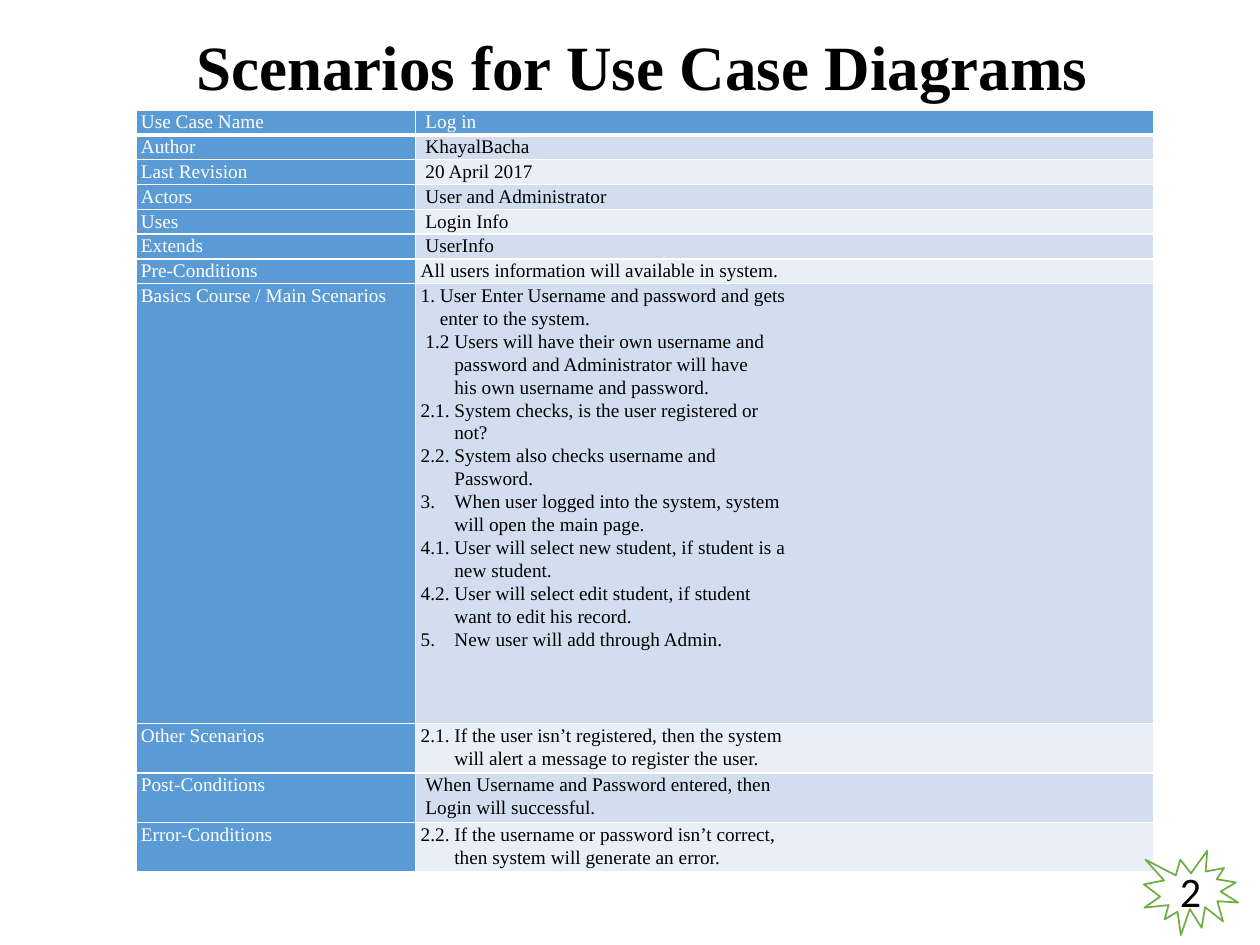
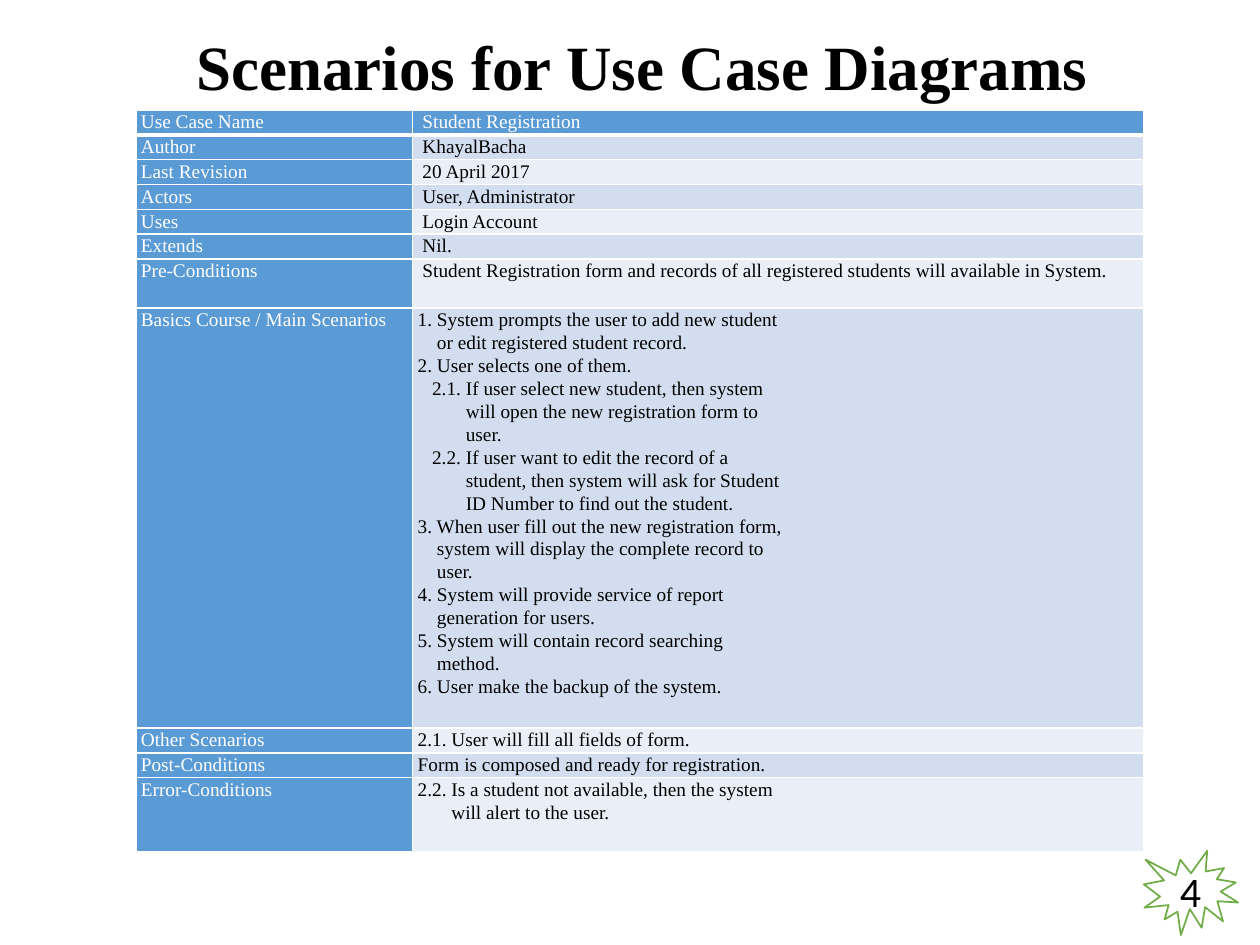
from lxml import etree
from pptx import Presentation
from pptx import util as u
from pptx.dml.color import RGBColor
from pptx.enum import shapes, text
from pptx.oxml.ns import qn

WHITE, BLACK = "FFFFFF", "000000"
BLUE, BAND_DARK, BAND_LIGHT, GREEN = "5B9BD5", "D2DEEF", "EAEFF7", "70AD47"
SERIF, SANS = "Times New Roman", "Calibri"
STEP = 0.097  # width in cm of one indent unit at 11 pt
ROW = 0.5     # height in cm of a one-line row

LABELS = ["Use Case Name", "Author", "Last Revision", "Actors", "Uses", "Extends",
          "Pre-Conditions", "Basics Course / Main Scenarios", "Other Scenarios",
          "Post-Conditions", "Error-Conditions"]

# Each answer is a list of lines: (indent units, text).
# A tab after a step number leads to the indent.
SCENARIOS = [
    {
        "number": "2",
        "columns": (5.64, 14.88),
        "heights": {7: 8.87, 8: 0.99, 9: 0.99, 10: 0.99},
        "answers": [
            [(1, "Log in")],
            [(1, "KhayalBacha")],
            [(1, "20 April 2017")],
            [(1, "User and Administrator")],
            [(1, "Login Info")],
            [(1, "UserInfo")],
            [(0, "All users information will available in system.")],
            [(0, "1. User Enter Username and password and gets"),
             (4, "enter to the system."),
             (1, "1.2 Users will have their own username and"),
             (7, "password and Administrator will have"),
             (7, "his own username and password."),
             (0, "2.1. System checks, is the user registered or"),
             (7, "not?"),
             (0, "2.2. System also checks username and"),
             (7, "Password."),
             (7, "3.\tWhen user logged into the system, system"),
             (7, "will open the main page."),
             (0, "4.1. User will select new student, if student is a"),
             (7, "new student."),
             (0, "4.2. User will select edit student, if student"),
             (7, "want to edit his record."),
             (7, "5.\tNew user will add through Admin.")],
            [(0, "2.1. If the user isn’t registered, then the system"),
             (7, "will alert a message to register the user.")],
            [(1, "When Username and Password entered, then"),
             (1, "Login will successful.")],
            [(0, "2.2. If the username or password isn’t correct,"),
             (7, "then system will generate an error.")],
        ],
    },
    {
        "number": "4",
        "columns": (5.58, 14.74),
        "heights": {6: 0.99, 7: 8.46, 10: 1.49},
        "answers": [
            [(1, "Student Registration")],
            [(1, "KhayalBacha")],
            [(1, "20 April 2017")],
            [(1, "User, Administrator")],
            [(1, "Login Account")],
            [(1, "Nil.")],
            [(1, "Student Registration form and records of all registered "
                 "students will available in System.")],
            [(0, "1. System prompts the user to add new student"),
             (4, "or edit registered student record."),
             (0, "2. User selects one of them."),
             (3, "2.1. If user select new student, then system"),
             (10, "will open the new registration form to"),
             (10, "user."),
             (3, "2.2. If user want to edit the record of a"),
             (10, "student, then system will ask for Student"),
             (10, "ID Number to find out the student."),
             (0, "3. When user fill out the new registration form,"),
             (4, "system will display the complete record to"),
             (4, "user."),
             (0, "4. System will provide service of report"),
             (4, "generation for users."),
             (0, "5. System will contain record searching"),
             (4, "method."),
             (0, "6. User make the backup of the system.")],
            [(0, "2.1. User will fill all fields of form.")],
            [(0, "Form is composed and ready for registration.")],
            [(0, "2.2. Is a student not available, then the system"),
             (7, "will alert to the user.")],
        ],
    },
]


def rgb(code):
    return RGBColor.from_string(code)


def write(para, words, size=11, font=SERIF, color=BLACK, bold=False,
          align=None, spacing=None, indent=0):
    """Add a formatted span; a tab in it makes the indent a hanging one."""
    para.alignment = align
    para.line_spacing = spacing
    if indent:
        margin = u.Cm(indent * STEP)
        props = para._p.get_or_add_pPr()
        props.set("marL", str(margin))
        props.set("indent", str(-margin if "\t" in words else 0))
    span = para.add_run()
    span.text = words
    span.font.size, span.font.name, span.font.bold = u.Pt(size), font, bold
    span.font.color.rgb = rgb(color)


deck = Presentation()
deck.slide_width, deck.slide_height = u.Cm(25.4), u.Cm(19.05)

for scenario in SCENARIOS:
    page = deck.slides.add_slide(deck.slide_layouts[6])

    title = page.shapes.add_textbox(u.Cm(3.61), u.Cm(0.43), u.Cm(18.67), u.Cm(1.8))
    title.text_frame.word_wrap = False
    write(title.text_frame.paragraphs[0], "Scenarios for Use Case Diagrams",
          size=36, bold=True, align=text.PP_ALIGN.CENTER)

    widths = scenario["columns"]
    heights = [scenario["heights"].get(row, ROW) for row in range(len(LABELS))]
    table = page.shapes.add_table(len(LABELS), 2, u.Cm(2.74), u.Cm(2.22),
                                  u.Cm(sum(widths)), u.Cm(sum(heights))).table
    for column, width in zip(table.columns, widths):
        column.width = u.Cm(width)

    for row, (label, answer) in enumerate(zip(LABELS, scenario["answers"])):
        table.rows[row].height = u.Cm(heights[row])
        band = BAND_DARK if row % 2 else BAND_LIGHT
        for col, lines in enumerate([[(0, label)], answer]):
            cell = table.cell(row, col)
            strong = row == 0 or col == 0
            cell.margin_left = cell.margin_right = u.Cm(0.1)
            cell.margin_top = cell.margin_bottom = 0

            thick = {0: "lnB", 1: "lnT"}.get(row)
            props = cell._tc.get_or_add_tcPr()
            for side in ("lnL", "lnR", "lnT", "lnB"):
                border = etree.SubElement(props, qn("a:" + side),
                                          w=str(u.Pt(3 if side == thick else 1)))
                paint = etree.SubElement(border, qn("a:solidFill"))
                etree.SubElement(paint, qn("a:srgbClr"), val=WHITE)
            cell.fill.solid()
            cell.fill.fore_color.rgb = rgb(BLUE if strong else band)

            frame = cell.text_frame
            for index, (indent, words) in enumerate(lines):
                para = frame.add_paragraph() if index else frame.paragraphs[0]
                write(para, words, color=WHITE if strong else BLACK,
                      spacing=1.07, indent=indent)

    badge = page.shapes.add_shape(shapes.MSO_SHAPE.EXPLOSION1, u.Cm(23.06),
                                  u.Cm(17.15), u.Cm(1.9), u.Cm(1.7))
    badge.shadow.inherit = False
    badge.fill.solid()
    badge.fill.fore_color.rgb = rgb(WHITE)
    badge.line.color.rgb = rgb(GREEN)
    badge.line.width = u.Pt(1)
    badge.text_frame.vertical_anchor = text.MSO_ANCHOR.MIDDLE
    write(badge.text_frame.paragraphs[0], scenario["number"], size=24,
          font=SANS, align=text.PP_ALIGN.CENTER)

deck.save("out.pptx")
